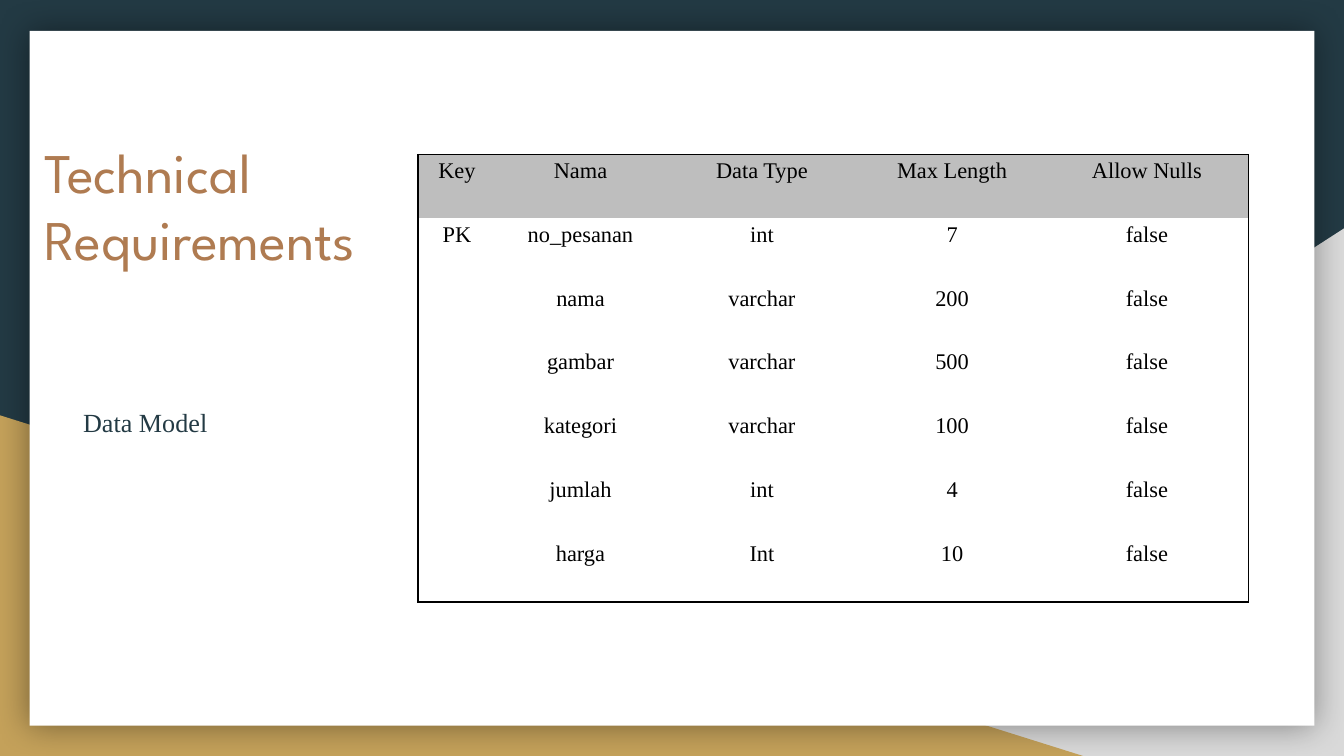
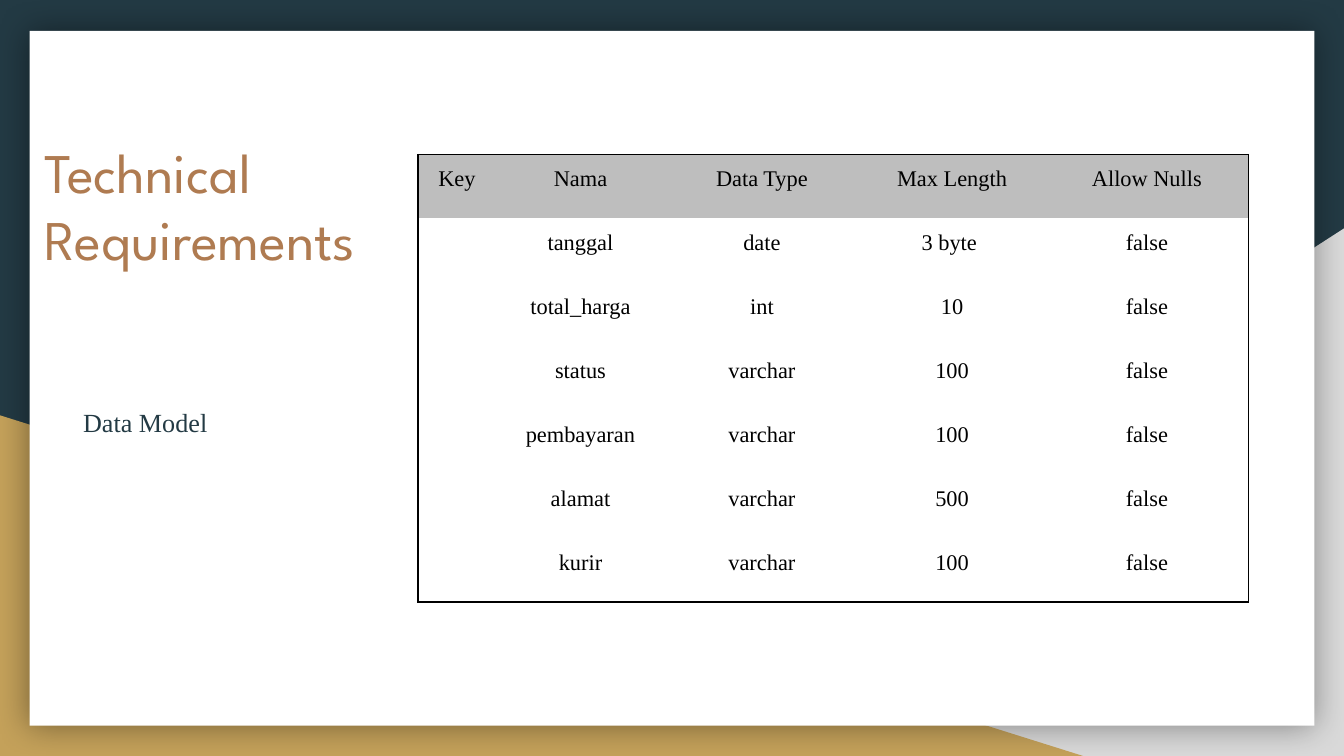
from dataclasses import dataclass

from lxml.etree import SubElement
from pptx import Presentation
from pptx.dml.color import RGBColor
from pptx.enum.shapes import MSO_SHAPE
from pptx.enum.text import MSO_ANCHOR, PP_ALIGN
from pptx.oxml.ns import qn
from pptx.slide import Slide
from pptx.table import _Cell
from pptx.text.text import TextFrame
from pptx.util import Inches, Pt


@dataclass(frozen=True)
class Theme:
    navy: str = "233A44"
    gold: str = "C4A15A"
    mist: str = "D9D9D9"
    white: str = "FFFFFF"
    copper: str = "AF7B51"
    black: str = "000000"
    gray: str = "BEBEBE"
    head: str = "League Spartan"
    body: str = "Times New Roman"
    title: int = 30
    label: int = 14
    cell: int = 12


@dataclass(frozen=True)
class Box:
    left: float
    top: float
    width: float
    height: float

    def place(self) -> tuple:
        return tuple(map(Inches, (self.left, self.top, self.width, self.height)))


@dataclass(frozen=True)
class Panel:
    kind: MSO_SHAPE
    box: Box
    color: str
    flip: bool = False
    glow: bool = False


@dataclass(frozen=True)
class Model:
    """Rows of one data model, with the line spacing of its cells."""
    rows: tuple
    leading: float


THEME = Theme()
WIDTH = 10
HEIGHT = WIDTH * 9 / 16
PANELS = (
    Panel(MSO_SHAPE.RIGHT_TRIANGLE, Box(3.92, 1.7, 6.08, HEIGHT - 1.7), THEME.mist, flip=True),
    Panel(MSO_SHAPE.RIGHT_TRIANGLE, Box(0, 3.09, 8.06, HEIGHT - 3.09), THEME.gold),
    Panel(MSO_SHAPE.RECTANGLE, Box(0.22, 0.23, 9.56, 5.17), THEME.white, glow=True),
)
TITLE = Box(0.23, 0.92, 2.88, 1.76)
LABEL = Box(0.52, 2.89, 1.34, 0.81)
GRID = Box(3.11, 1.15, 6.18, 3.33)
COLS = (0.58, 1.26, 1.44, 1.39, 1.51)
HEADER = ("Key", "Nama", "Data Type", "Max Length", "Allow Nulls")
MODELS = (
    Model((
        ("PK", "no_pesanan", "int", "7", "false"),
        ("", "nama", "varchar", "200", "false"),
        ("", "gambar", "varchar", "500", "false"),
        ("", "kategori", "varchar", "100", "false"),
        ("", "jumlah", "int", "4", "false"),
        ("", "harga", "Int", "10", "false"),
    ), 1.15),
    Model((
        ("", "tanggal", "date", "3 byte ", "false"),
        ("", "total_harga", "int", "10", "false"),
        ("", "status", "varchar", "100", "false"),
        ("", "pembayaran", "varchar", "100", "false"),
        ("", "alamat", "varchar", "500", "false"),
        ("", "kurir", "varchar", "100", "false"),
    ), 1.5),
)


def write(frame: TextFrame, text: str, *, size: int, color: str, font: str = THEME.body,
          align: PP_ALIGN = PP_ALIGN.LEFT, leading: float = 1.0,
          before: int = 0, after: int = 0) -> None:
    para = frame.paragraphs[0]
    para.alignment = align
    para.line_spacing = leading
    para.space_before, para.space_after = Pt(before), Pt(after)
    run = para.add_run()
    run.text = text
    run.font.size = Pt(size)
    run.font.name = font
    run.font.color.rgb = RGBColor.from_string(color)


def add_text(slide: Slide, box: Box, text: str, **style) -> None:
    frame = slide.shapes.add_textbox(*box.place()).text_frame
    frame.word_wrap = True
    frame.vertical_anchor = MSO_ANCHOR.TOP
    frame.margin_left = frame.margin_right = Inches(0.1)
    frame.margin_top = frame.margin_bottom = Inches(0.1)
    write(frame, text, **style)


def add_panel(slide: Slide, panel: Panel) -> None:
    shape = slide.shapes.add_shape(panel.kind, *panel.box.place())
    shape.shadow.inherit = False
    shape.fill.solid()
    shape.fill.fore_color.rgb = RGBColor.from_string(panel.color)
    shape.line.fill.background()
    props = shape._element.spPr
    if panel.flip:
        props.xfrm.set("flipH", "1")
    if panel.glow:
        shade = SubElement(props.find(qn("a:effectLst")), qn("a:outerShdw"),
                           blurRad=str(Pt(18)), dist="0", dir="0",
                           algn="ctr", rotWithShape="0")
        tint = SubElement(shade, qn("a:srgbClr"), val=THEME.black)
        SubElement(tint, qn("a:alpha"), val="40000")


def set_edges(cell: _Cell, row: int, col: int, last: int) -> None:
    """Rule the outside of the table and leave the inner edges clear."""
    outer = {"lnL": col == 0, "lnR": col == len(COLS) - 1,
             "lnT": row == 0, "lnB": row == last}
    props = cell._tc.get_or_add_tcPr()
    for tag, shown in outer.items():
        line = SubElement(props, qn(f"a:{tag}"), w=str(Pt(1 if shown else 0.75)))
        fill = SubElement(line, qn("a:solidFill"))
        tint = SubElement(fill, qn("a:srgbClr"), val=THEME.black)
        if not shown:
            SubElement(tint, qn("a:alpha"), val="0")


def add_grid(slide: Slide, model: Model) -> None:
    rows = (HEADER, *model.rows)
    table = slide.shapes.add_table(len(rows), len(COLS), *GRID.place()).table
    table.first_row = table.horz_banding = False
    for col, width in zip(table.columns, COLS):
        col.width = Inches(width)
    for y, row in enumerate(rows):
        table.rows[y].height = Inches(GRID.height / len(rows))
        for x, text in enumerate(row):
            cell = table.cell(y, x)
            cell.margin_left = cell.margin_right = Inches(0.07)
            cell.margin_top = cell.margin_bottom = 0
            set_edges(cell, y, x, len(rows) - 1)
            if y == 0:
                cell.fill.solid()
                cell.fill.fore_color.rgb = RGBColor.from_string(THEME.gray)
            else:
                cell.fill.background()
            if text:
                write(cell.text_frame, text, size=THEME.cell, color=THEME.black,
                      align=PP_ALIGN.CENTER, leading=model.leading, before=12, after=12)


def add_page(deck: Presentation, model: Model) -> None:
    slide = deck.slides.add_slide(deck.slide_layouts[6])
    back = slide.background.fill
    back.solid()
    back.fore_color.rgb = RGBColor.from_string(THEME.navy)
    for panel in PANELS:
        add_panel(slide, panel)
    add_text(slide, TITLE, "Technical Requirements", size=THEME.title,
             color=THEME.copper, font=THEME.head)
    add_text(slide, LABEL, "Data Model", size=THEME.label, color=THEME.navy,
             leading=1.15, after=12)
    add_grid(slide, model)


def main() -> None:
    deck = Presentation()
    deck.slide_width, deck.slide_height = Inches(WIDTH), Inches(HEIGHT)
    for model in MODELS:
        add_page(deck, model)
    deck.save("out.pptx")


if __name__ == "__main__":
    main()
